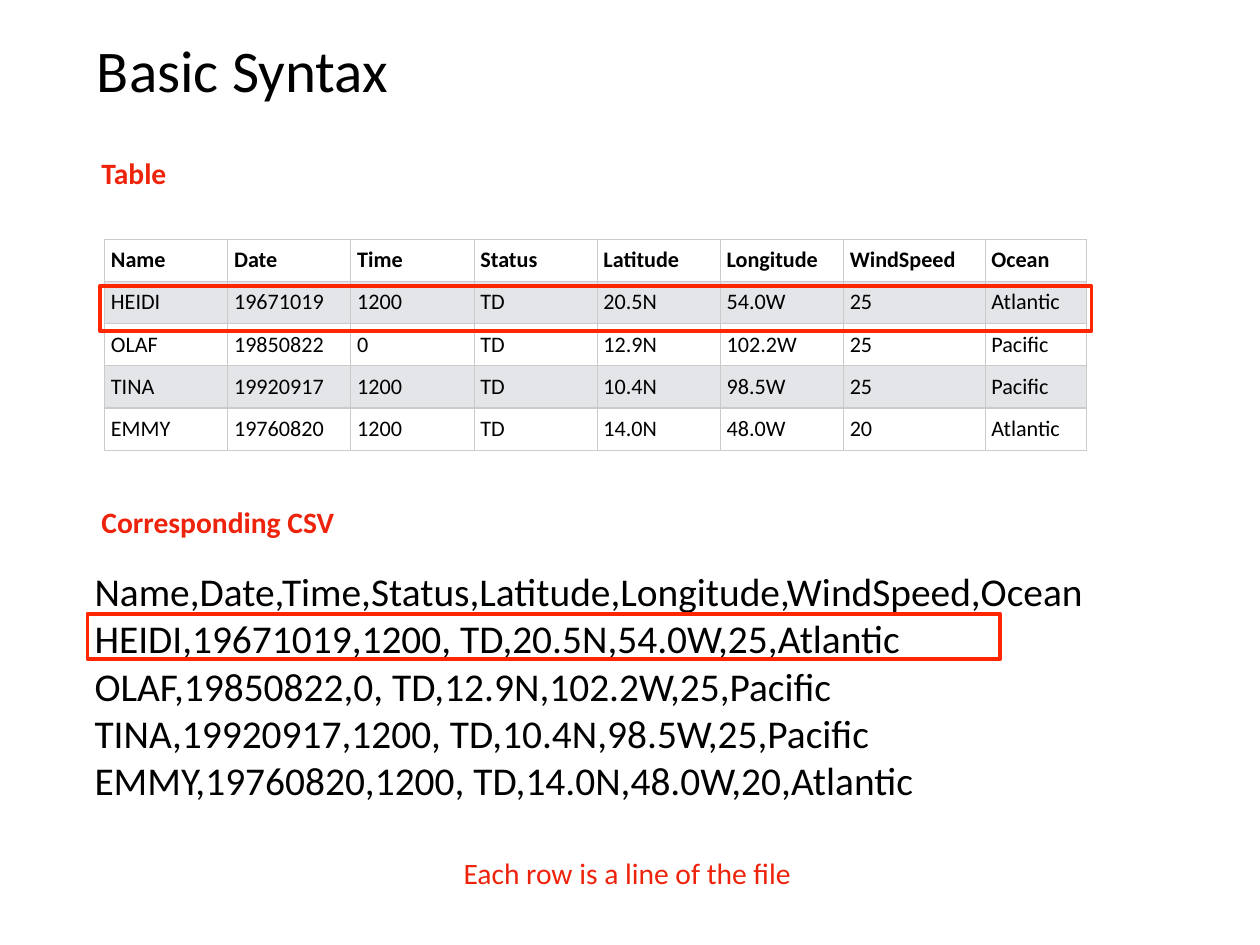
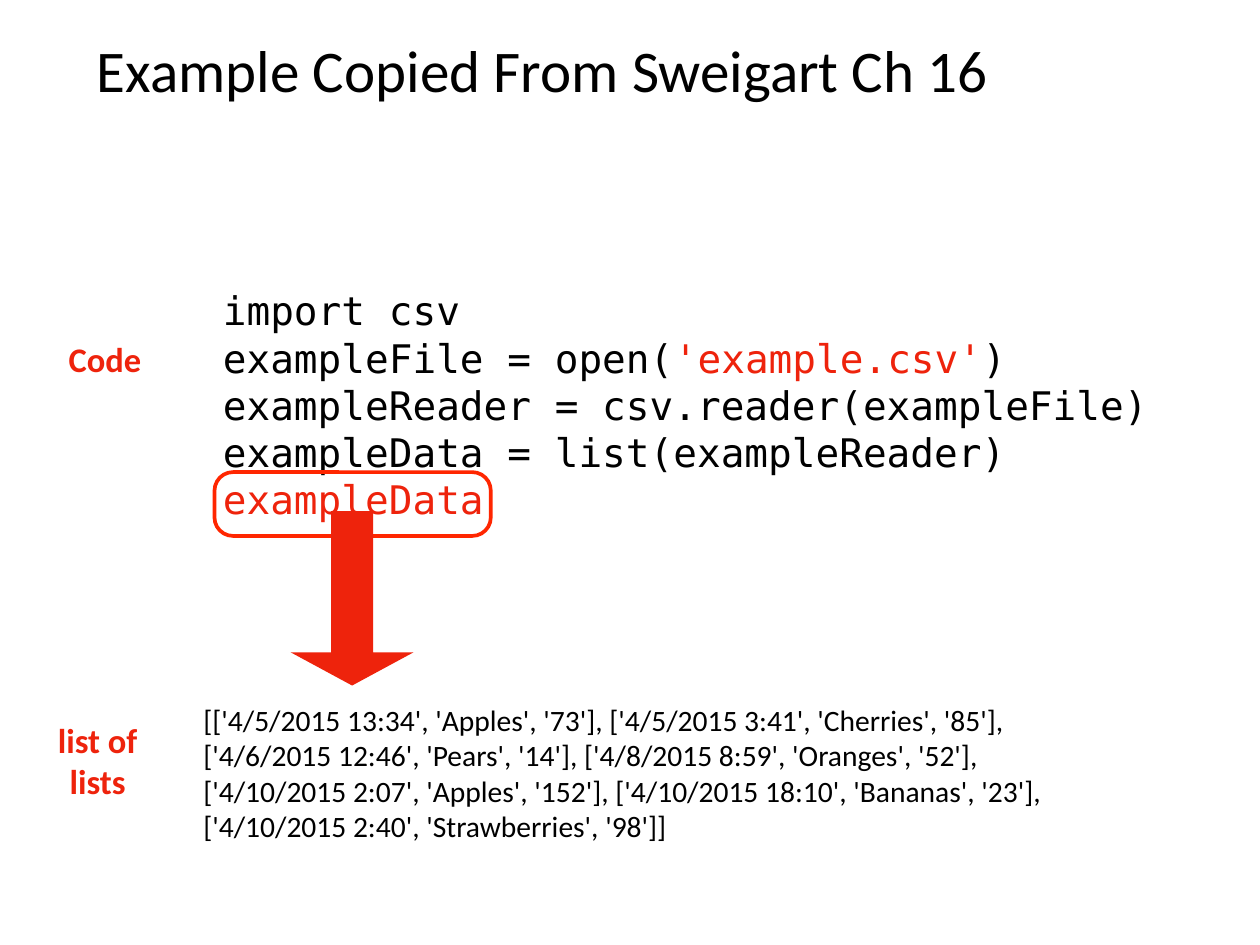
from lxml import etree
from pptx import Presentation
from pptx.dml.color import RGBColor
from pptx.enum.shapes import MSO_SHAPE
from pptx.enum.text import MSO_ANCHOR, PP_ALIGN
from pptx.oxml.ns import qn
from pptx.util import Cm, Pt

RECTANGLE = MSO_SHAPE.RECTANGLE
ROUNDED = MSO_SHAPE.ROUNDED_RECTANGLE
DOWN_ARROW = MSO_SHAPE.DOWN_ARROW
TOP, MIDDLE = MSO_ANCHOR.TOP, MSO_ANCHOR.MIDDLE
LEFT, CENTER = PP_ALIGN.LEFT, PP_ALIGN.CENTER

COLORS = {
    "text": "000000",
    "accent": "EE230C",
    "outline": "FF2600",
    "white": "FFFFFF",
    "band": "E3E5E8",
    "border": "CBCBCB",
}
BODY_FONT = "Calibri"
CODE_FONT = "DejaVu Sans Mono"
INSET = Cm(0.14)
LINE_RATIO = 1.2


def fill_text(frame, lines, size, color="text", bold=False, align=LEFT,
              anchor=MIDDLE, font=BODY_FONT):
    frame.word_wrap = True
    frame.vertical_anchor = anchor
    frame.margin_left = frame.margin_right = INSET
    frame.margin_top = frame.margin_bottom = INSET
    for index, line in enumerate(lines):
        paragraph = frame.add_paragraph() if index else frame.paragraphs[0]
        paragraph.alignment = align
        paragraph.line_spacing = Pt(size * LINE_RATIO)
        pieces = [(line, color)] if isinstance(line, str) else line
        for text, run_color in pieces:
            run = paragraph.add_run()
            run.text = text
            run.font.name = font
            run.font.size = Pt(size)
            run.font.bold = bold
            run.font.color.rgb = RGBColor.from_string(COLORS[run_color])


def add_shape(slide, kind, box, fill=None, line=None):
    shape = slide.shapes.add_shape(kind, *map(Cm, box))
    shape.shadow.inherit = False
    if fill:
        shape.fill.solid()
        shape.fill.fore_color.rgb = RGBColor.from_string(COLORS[fill])
    else:
        shape.fill.background()
    if line:
        shape.line.color.rgb = RGBColor.from_string(COLORS[line])
        shape.line.width = Pt(3)
    else:
        shape.line.fill.background()
    return shape


presentation = Presentation()
presentation.slide_width = Cm(36.12)
presentation.slide_height = Cm(27.1)
title_only = presentation.slide_layouts[5]

slides = []
for heading in ("Basic Syntax", "Example Copied From Sweigart Ch 16"):
    slide = presentation.slides.add_slide(title_only)
    title = slide.shapes.title
    title.left, title.top, title.width, title.height = map(Cm, (2.64, 0.71, 30.84, 2.51))
    fill_text(title.text_frame, [heading], 48)
    slides.append(slide)
syntax_slide, example_slide = slides

storm_rows = [
    ["Name", "Date", "Time", "Status", "Latitude", "Longitude", "WindSpeed", "Ocean"],
    ["HEIDI", "19671019", "1200", "TD", "20.5N", "54.0W", "25", "Atlantic"],
    ["OLAF", "19850822", "0", "TD", "12.9N", "102.2W", "25", "Pacific"],
    ["TINA", "19920917", "1200", "TD", "10.4N", "98.5W", "25", "Pacific"],
    ["EMMY", "19760820", "1200", "TD", "14.0N", "48.0W", "20", "Atlantic"],
]
column_widths = [3.53] * 6 + [4.06, 2.92]
row_height = 1.21
table = syntax_slide.shapes.add_table(
    len(storm_rows), len(column_widths), Cm(3), Cm(6.86),
    Cm(sum(column_widths)), Cm(row_height * len(storm_rows))).table
for column, width in zip(table.columns, column_widths):
    column.width = Cm(width)
for row_index, values in enumerate(storm_rows):
    table.rows[row_index].height = Cm(row_height)
    for column_index, value in enumerate(values):
        cell = table.cell(row_index, column_index)
        fill_text(cell.text_frame, [value], 18, bold=row_index == 0)
        cell.vertical_anchor = MIDDLE
        cell.margin_left = cell.margin_right = Cm(0.18)
        cell.margin_top = cell.margin_bottom = 0
        properties = cell._tc.get_or_add_tcPr()
        for side in ("a:lnL", "a:lnR", "a:lnT", "a:lnB"):
            border = etree.SubElement(properties, qn(side), w=str(Pt(1)))
            solid = etree.SubElement(border, qn("a:solidFill"))
            etree.SubElement(solid, qn("a:srgbClr"), val=COLORS["border"])
        cell.fill.solid()
        cell.fill.fore_color.rgb = RGBColor.from_string(
            COLORS["band" if row_index % 2 else "white"])

csv_lines = [
    "Name,Date,Time,Status,Latitude,Longitude,WindSpeed,Ocean",
    "HEIDI,19671019,1200, TD,20.5N,54.0W,25,Atlantic",
    "OLAF,19850822,0, TD,12.9N,102.2W,25,Pacific",
    "TINA,19920917,1200, TD,10.4N,98.5W,25,Pacific",
    "EMMY,19760820,1200, TD,14.0N,48.0W,20,Atlantic",
]
code_lines = [
    "import csv",
    [("exampleFile = open(", "text"), ("'example.csv'", "accent"), (")", "text")],
    "exampleReader = csv.reader(exampleFile)",
    "exampleData = list(exampleReader)",
    [("exampleData", "accent")],
]
output_lines = [
    "[['4/5/2015 13:34', 'Apples', '73'], ['4/5/2015 3:41', 'Cherries', '85'],",
    "['4/6/2015 12:46', 'Pears', '14'], ['4/8/2015 8:59', 'Oranges', '52'],",
    "['4/10/2015 2:07', 'Apples', '152'], ['4/10/2015 18:10', 'Bananas', '23'],",
    "['4/10/2015 2:40', 'Strawberries', '98']]",
]
label = {"color": "accent", "bold": True}
text_boxes = [
    (syntax_slide, (2.57, 16.13, 32.3, 9.6), csv_lines, 32, {"anchor": TOP}),
    (syntax_slide, (2.77, 4.32, 8.66, 1.27), ["Table"], 24, label),
    (syntax_slide, (2.77, 14.33, 8.66, 1.27), ["Corresponding CSV"], 24, label),
    (syntax_slide, (12.98, 24.38, 10, 1.27), ["Each row is a line of the file"], 24,
     {"color": "accent", "align": CENTER}),
    (example_slide, (6.25, 7.44, 27.4, 8.33), code_lines, 32, {"font": CODE_FONT}),
    (example_slide, (5.69, 19.96, 26, 4.39), output_lines, 24, {}),
    (example_slide, (1.83, 9.55, 2.9, 1.45), ["Code"], 28, label),
    (example_slide, (1.2, 20.5, 3.2, 2.62), ["list of", "lists"], 28,
     {**label, "align": CENTER}),
]
for slide, box, lines, size, style in text_boxes:
    text_box = slide.shapes.add_textbox(*map(Cm, box))
    fill_text(text_box.text_frame, lines, size, **style)

for box in ((2.87, 8.2, 28.42, 1.3), (2.51, 17.6, 26.16, 1.3)):
    add_shape(syntax_slide, RECTANGLE, box, line="outline")

result_frame = add_shape(example_slide, ROUNDED, (6.15, 13.54, 7.92, 1.83), line="outline")
result_frame.adjustments[0] = 0.29
result_arrow = add_shape(example_slide, DOWN_ARROW, (8.33, 14.66, 3.53, 5), fill="accent")
result_arrow.adjustments[0] = 0.34
result_arrow.adjustments[1] = 0.27

presentation.save("out.pptx")
